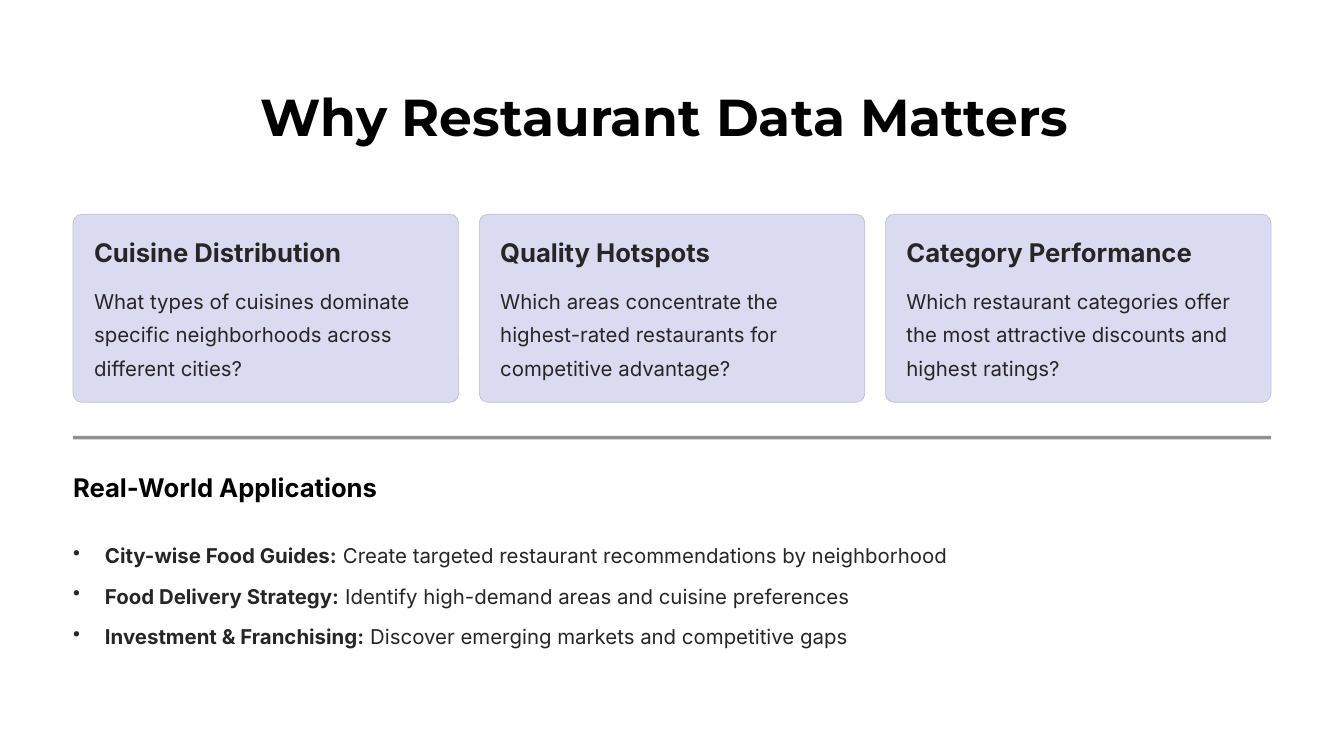
"""Build the slide "Why Restaurant Data Matters"."""
from lxml import etree
from pptx import Presentation
from pptx import util as u
from pptx.dml.color import RGBColor
from pptx.enum import shapes, text
from pptx.oxml.ns import qn

THEME = {
    "black": "000000", "ink": "272525", "card": "DADBF1", "card_edge": "C0C1D7",
    "title": ("Montserrat", 44.5, 55.5),
    "heading": ("Inter", 22, 27.5),
    "body": ("Inter", 17.5, 28.5),
}
MARGIN, CARD_WIDTH, GAP = 0.87, 4.59, 0.245
CARD_TOP, CARD_HEIGHT, PADDING = 2.55, 2.24, 0.25
CONTENT_WIDTH = 3 * CARD_WIDTH + 2 * GAP
BULLET_TOP, BULLET_PITCH, INDENT = 6.36, 0.485, 0.38

prs = Presentation()
prs.slide_width, prs.slide_height = u.Inches(16), u.Inches(9)
slide = prs.slides.add_slide(prs.slide_layouts[6])


def add_text(box, runs, style, color, wrap=False, bullet=False):
    """Add a text box of (wording, bold) runs and return its paragraph."""
    frame = slide.shapes.add_textbox(*map(u.Inches, box)).text_frame
    frame.word_wrap = wrap
    frame.margin_left = frame.margin_right = frame.margin_top = frame.margin_bottom = 0
    paragraph = frame.paragraphs[0]
    font_name, size, leading = THEME[style]
    paragraph.line_spacing = u.Pt(leading)
    if bullet:
        properties = paragraph._p.get_or_add_pPr()
        properties.set("marL", str(u.Inches(INDENT)))
        properties.set("indent", str(-u.Inches(INDENT)))
        etree.SubElement(properties, qn("a:buChar")).set("char", "•")
    for wording, bold in runs:
        run = paragraph.add_run()
        run.text = wording
        run.font.name, run.font.size, run.font.bold = font_name, u.Pt(size), bold
        run.font.color.rgb = RGBColor.from_string(THEME[color])
    return paragraph


def add_panel(preset, box, color):
    """Add a flat filled shape."""
    panel = slide.shapes.add_shape(preset, *map(u.Inches, box))
    panel.shadow.inherit = False
    panel.fill.solid()
    panel.fill.fore_color.rgb = RGBColor.from_string(THEME[color])
    return panel


title = add_text((0.63, 0.98, 14.56, 0.78), [("Why Restaurant Data Matters", True)],
                 "title", "black")
title.alignment = text.PP_ALIGN.CENTER

questions = [
    ("Cuisine Distribution",
     "What types of cuisines dominate specific neighborhoods across different cities?", 3.1),
    ("Quality Hotspots",
     "Which areas concentrate the highest-rated restaurants for competitive advantage?", 3.1),
    ("Category Performance",
     "Which restaurant categories offer the most attractive discounts and highest ratings?", 3.45),
]
for column, (topic, question, topic_width) in enumerate(questions):
    left = MARGIN + column * (CARD_WIDTH + GAP)
    card = add_panel(shapes.MSO_SHAPE.ROUNDED_RECTANGLE,
                     (left, CARD_TOP, CARD_WIDTH, CARD_HEIGHT), "card")
    card.adjustments[0] = 0.047
    card.line.color.rgb = RGBColor.from_string(THEME["card_edge"])
    card.line.width = u.Pt(0.6)
    inner = left + PADDING
    add_text((inner, CARD_TOP + PADDING, topic_width, 0.39), [(topic, True)], "heading", "ink")
    add_text((inner, 3.34, CARD_WIDTH - 2 * PADDING, 1.19), [(question, False)],
             "body", "ink", wrap=True)

divider = add_panel(shapes.MSO_SHAPE.RECTANGLE, (MARGIN, 5.19, CONTENT_WIDTH, 0.04), "ink")
divider.line.fill.background()
divider_color = divider._element.spPr.find(qn("a:solidFill"))[0]
etree.SubElement(divider_color, qn("a:alpha")).set("val", "50000")

add_text((MARGIN, 5.6, 3.68, 0.39), [("Real-World Applications", True)], "heading", "black")

applications = [
    ("City-wise Food Guides:", " Create targeted restaurant recommendations by neighborhood"),
    ("Food Delivery Strategy:", " Identify high-demand areas and cuisine preferences"),
    ("Investment & Franchising:", " Discover emerging markets and competitive gaps"),
]
for row, (use, benefit) in enumerate(applications):
    add_text((MARGIN, BULLET_TOP + row * BULLET_PITCH, CONTENT_WIDTH, 0.4),
             [(use, True), (benefit, False)], "body", "ink", bullet=True)

prs.save("out.pptx")
